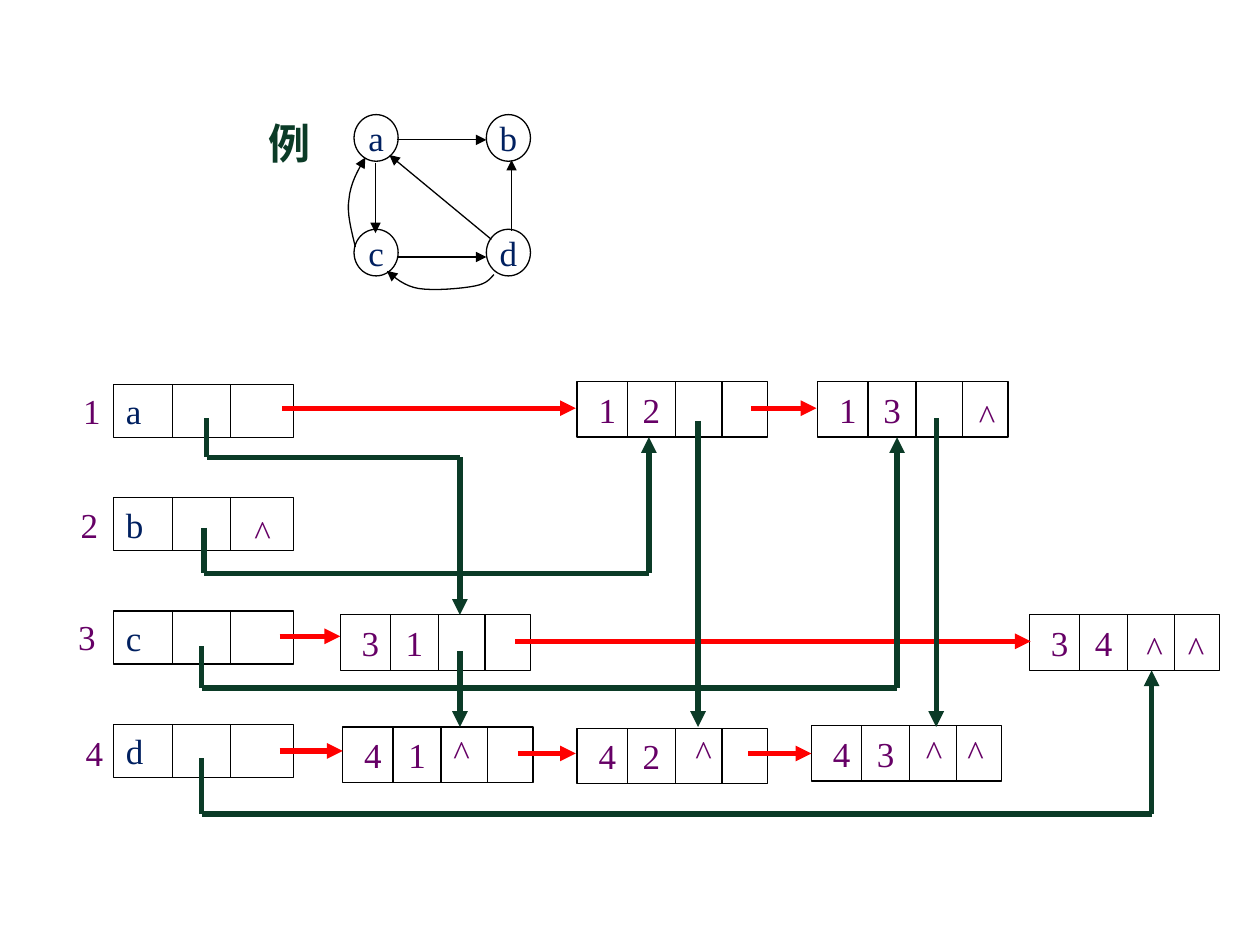
from dataclasses import dataclass
from itertools import pairwise

from lxml.etree import SubElement
from pptx import Presentation
from pptx.dml.color import RGBColor
from pptx.enum.shapes import MSO_CONNECTOR, MSO_SHAPE
from pptx.enum.text import MSO_ANCHOR, PP_ALIGN
from pptx.oxml.ns import qn
from pptx.util import Pt

PX = 9144  # EMU per px, 100 px to the inch


@dataclass(frozen=True)
class Theme:
    black: str = "000000"
    navy: str = "002060"
    purple: str = "660066"
    green: str = "0B3B27"
    red: str = "FF0000"
    latin: str = "Times New Roman"
    chinese: str = "Noto Sans CJK SC"
    body: int = 20
    title: int = 24
    thin: float = 0.75
    thick: float = 3


theme = Theme()


def write(shape, text, color, left=None, tab=None):
    """Set one line of text: centred, or starting at the inset left, with an optional tab stop."""
    frame = shape.text_frame
    frame.word_wrap = True
    frame.vertical_anchor = MSO_ANCHOR.MIDDLE
    frame.margin_left = (left or 0) * PX
    frame.margin_right = frame.margin_top = frame.margin_bottom = 0
    para = frame.paragraphs[0]
    para.text = text
    para.alignment = PP_ALIGN.CENTER if left is None else PP_ALIGN.LEFT
    if tab:
        tabs = SubElement(para._p.get_or_add_pPr(), qn("a:tabLst"))
        SubElement(tabs, qn("a:tab"), pos=str(tab * PX), algn="l")
    para.font.name = theme.latin
    para.font.size = Pt(theme.body)
    para.font.color.rgb = RGBColor.from_string(color)
    return para


def stroke(item, color=theme.black, width=theme.thin, arrow=False):
    """Style an outline or line and remove its shadow."""
    item.line.color.rgb = RGBColor.from_string(color)
    item.line.width = Pt(width)
    if arrow:
        SubElement(item.line._get_or_add_ln(), qn("a:tailEnd"), type="triangle")
    SubElement(item._element.spPr, qn("a:effectLst"))


deck = Presentation()
deck.slide_width, deck.slide_height = 1000 * PX, 750 * PX
page = deck.slides.add_slide(deck.slide_layouts[6])
shapes = page.shapes

# Heading
box = shapes.add_textbox(203 * PX, 88 * PX, 54 * PX, 51 * PX)
para = write(box, "例", theme.green)
para.font.name = theme.chinese
para.font.size = Pt(theme.title)
para.font.bold = True
SubElement(para._p.pPr.find(qn("a:defRPr")), qn("a:ea"), typeface=theme.chinese)

# Directed graph
for name, x, y in [("a", 281, 91), ("b", 386, 91), ("c", 281, 182), ("d", 386, 182)]:
    vertex = shapes.add_shape(MSO_SHAPE.OVAL, x * PX, y * PX, 35 * PX, 37 * PX)
    vertex.fill.background()
    stroke(vertex)
    write(vertex, name, theme.navy)

curved_arcs = [
    [(392, 218), (389, 221), (387, 225), (377, 227), (367, 229),
     (344, 231), (332, 229), (321, 227), (314, 221), (307, 215)],
    [(282, 196), (279, 183), (275, 169), (277, 158), (278, 146), (284, 135), (290, 125)],
]
STEPS = 8
for controls in curved_arcs:
    points = []
    for first in range(0, len(controls) - 1, 3):
        p0, p1, p2, p3 = controls[first:first + 4]
        for step in range(1, STEPS + 1):
            t = step / STEPS
            points.append(tuple(
                round(PX * ((1 - t)**3 * a + 3 * t * (1 - t)**2 * b + 3 * t**2 * (1 - t) * c + t**3 * d))
                for a, b, c, d in zip(p0, p1, p2, p3)))
    x, y = controls[0]
    builder = shapes.build_freeform(x * PX, y * PX)
    builder.add_line_segments(points, close=False)
    arc = builder.convert_to_shape()
    arc.fill.background()
    stroke(arc, arrow=True)

# Each record: left, top, width, height, text, text colour, inset, divider offsets
records = []
for row, (name, label_x, label_y) in enumerate(
        [("a", 56, 304), ("b", 54, 395), ("c", 52, 484), ("d", 58, 576)]):
    records.append((90, 305 + 90 * row, 143, 42, name, theme.navy, 10, (47, 93)))
    label = shapes.add_textbox(label_x * PX, label_y * PX, 34 * PX, 43 * PX)
    write(label, str(row + 1), theme.purple)

for tail, head, x, y in [
        (1, 2, 458, 303), (1, 3, 649, 303), (3, 1, 270, 488), (3, 4, 817, 488),
        (4, 1, 272, 577), (4, 2, 458, 578), (4, 3, 644, 576)]:
    records.append((x, y, 151, 44, f"{tail}\t{head}", theme.purple, 17, (40, 78, 115)))

lines = []  # colour, width, arrow at the end, points
for x, y, width, height, text, color, inset, dividers in records:
    record = shapes.add_shape(MSO_SHAPE.RECTANGLE, x * PX, y * PX, width * PX, height * PX)
    record.fill.background()
    stroke(record)
    write(record, text, color, left=inset, tab=35 if "\t" in text else None)
    for offset in dividers:
        lines.append((theme.black, theme.thin, False, [(x + offset, y), (x + offset, y + height)]))

graph_arcs = [
    [(315, 111), (386, 111)], [(315, 204), (386, 204)], [(298, 129), (298, 185)],
    [(390, 190), (309, 123)], [(406, 183), (406, 127)],
]
row_links = [
    [(224, 324), (457, 324)], [(596, 324), (648, 324)],
    [(222, 505), (270, 505)], [(409, 509), (818, 509)],
    [(222, 596), (272, 596)], [(411, 598), (457, 598)], [(594, 598), (644, 598)],
]
column_links = [
    [(164, 332), (164, 363), (365, 363), (365, 488)],
    [(162, 419), (162, 455), (515, 455), (515, 347)],
    [(160, 513), (160, 546), (712, 546), (712, 347)],
    [(160, 602), (160, 646), (914, 646), (914, 532)],
    [(365, 517), (365, 577)], [(554, 334), (554, 577)], [(743, 332), (743, 577)],
]
for color, width, routes in [
        (theme.black, theme.thin, graph_arcs),
        (theme.red, theme.thick, row_links),
        (theme.green, theme.thick, column_links)]:
    lines += [(color, width, True, route) for route in routes]

for color, width, arrow, points in lines:
    for start, end in pairwise(points):
        connector = shapes.add_connector(
            MSO_CONNECTOR.STRAIGHT, *(length * PX for length in start + end))
        stroke(connector, color, width, arrow and end == points[-1])

# Null pointers
for x, y in [(767, 308), (192, 400), (933, 492), (758, 575),
             (350, 575), (542, 575), (725, 575), (900, 492)]:
    null = shapes.add_textbox(x * PX, y * PX, 33 * PX, 43 * PX)
    write(null, "^", theme.purple, left=10)

deck.save("out.pptx")
